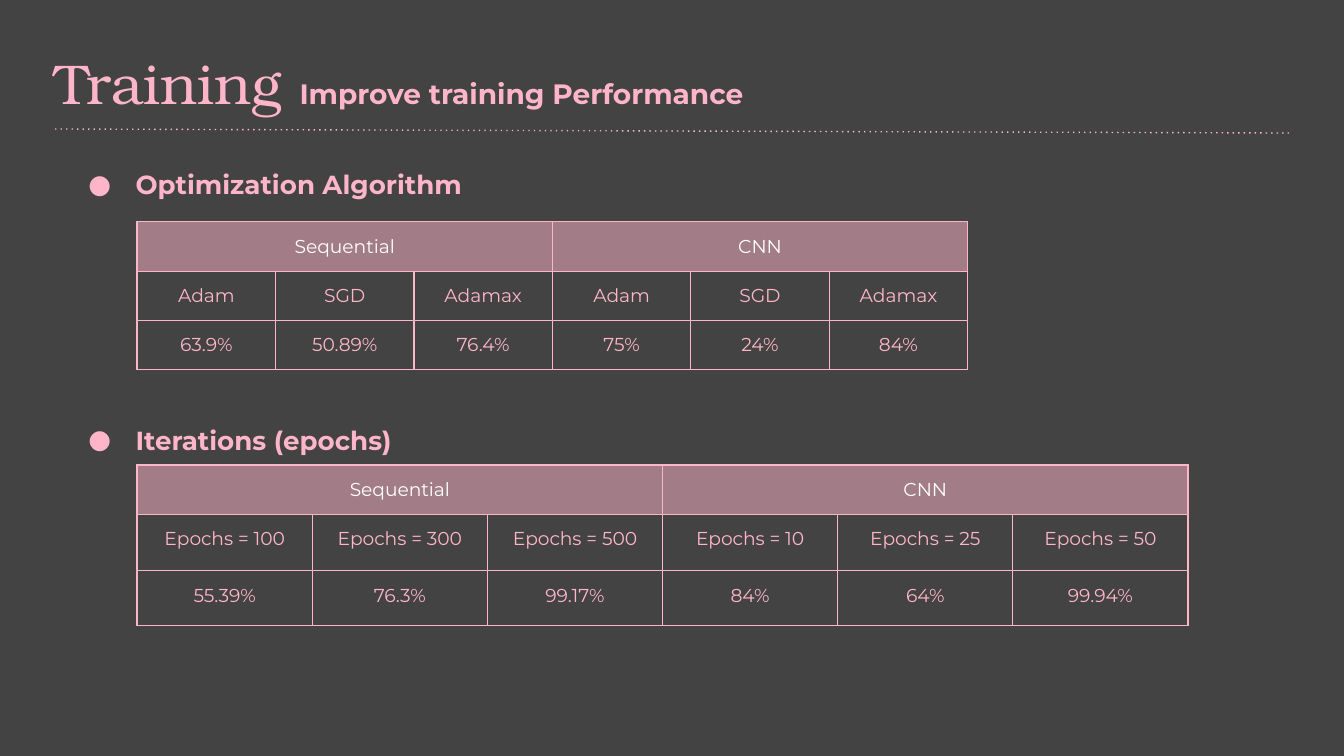
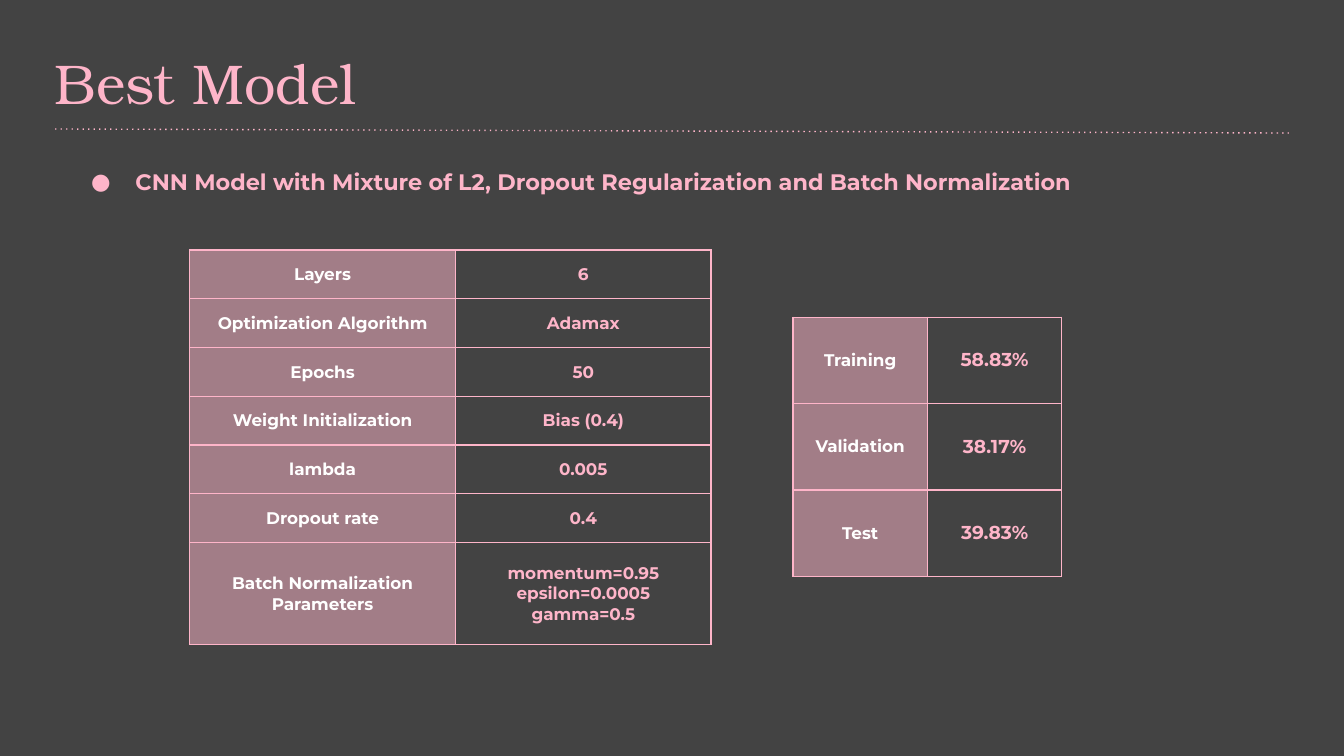
from lxml.etree import SubElement
from pptx import Presentation
from pptx.dml.color import RGBColor
from pptx.enum.shapes import MSO_CONNECTOR
from pptx.enum.text import MSO_ANCHOR, MSO_AUTO_SIZE, PP_ALIGN
from pptx.oxml.ns import qn
from pptx.util import Inches, Pt

PINK = RGBColor(0xFE, 0xB5, 0xC9)
WHITE = RGBColor(0xFF, 0xFF, 0xFF)
CHARCOAL = RGBColor(0x43, 0x43, 0x43)
TITLE_FONT = "TeX Gyre Bonum"
BODY_FONT = "Montserrat"
HEADER_OPACITY = 51
BORDER_WIDTH = Pt(0.75)


def write(para, text, size, color=PINK, font=BODY_FONT, bold=False):
    """Add one formatted span to a paragraph."""
    span = para.add_run()
    span.text = text
    span.font.size = Pt(size)
    span.font.name = font
    span.font.bold = bold
    span.font.color.rgb = color


class Deck:
    """Holds the shared style and the current slide."""

    def __init__(self):
        self.deck = Presentation()
        self.deck.slide_width = Inches(10)
        self.deck.slide_height = Inches(10 * 9 / 16)
        self.page = None

    def add_page(self, title, subtitle=None, width=8.48, height=0.71):
        self.page = self.deck.slides.add_slide(self.deck.slide_layouts[6])
        self.page.background.fill.solid()
        self.page.background.fill.fore_color.rgb = CHARCOAL
        para = self.add_box(0.31, 0.26, width, height)
        write(para, title, 30, font=TITLE_FONT)
        if subtitle:
            write(para, subtitle, 15, bold=True)
        self.add_rule()

    def add_box(self, left, top, width, height):
        """Add a text box and return its first paragraph."""
        box = self.page.shapes.add_textbox(
            Inches(left), Inches(top), Inches(width), Inches(height))
        frame = box.text_frame
        frame.word_wrap = True
        frame.auto_size = MSO_AUTO_SIZE.SHAPE_TO_FIT_TEXT
        frame.margin_left = frame.margin_right = Inches(0.1)
        frame.margin_top = frame.margin_bottom = Inches(0.1)
        return frame.paragraphs[0]

    def add_rule(self):
        """Dotted line under the title."""
        rule = self.page.shapes.add_connector(
            MSO_CONNECTOR.STRAIGHT,
            Inches(0.41), Inches(0.96), Inches(9.59), Inches(0.99))
        rule.line.color.rgb = PINK
        rule.line.width = BORDER_WIDTH
        props = rule._element.spPr
        SubElement(props.find(qn("a:ln")), qn("a:prstDash"), val="dot")
        SubElement(props, qn("a:effectLst"))

    def add_bullet(self, text, top, width, height, size=14, hanging=0.35):
        para = self.add_box(0.41, top, width, height)
        props = para._p.get_or_add_pPr()
        props.set("marL", str(Inches(0.5)))
        props.set("indent", str(-Inches(hanging)))
        bullet_color = SubElement(props, qn("a:buClr"))
        SubElement(bullet_color, qn("a:srgbClr"), val=str(PINK))
        SubElement(props, qn("a:buSzPts"), val=str(size * 100))
        SubElement(props, qn("a:buFont"), typeface=BODY_FONT)
        SubElement(props, qn("a:buChar"), char="●")
        para.line_spacing = 1.15
        write(para, text, size, bold=True)

    def add_grid(self, left, top, columns, heights):
        """Add an empty table with the given column widths and row heights."""
        table = self.page.shapes.add_table(
            len(heights), len(columns), Inches(left), Inches(top),
            Inches(sum(columns)), Inches(sum(heights))).table
        table.first_row = table.horz_banding = False
        for column, width in zip(table.columns, columns):
            column.width = Inches(width)
        for row, height in zip(table.rows, heights):
            row.height = Inches(height)
        return table

    def fill_cell(self, cell, text, header, size, margin, bold=False,
                  anchor=MSO_ANCHOR.TOP):
        cell.margin_left = cell.margin_right = Inches(margin)
        cell.margin_top = cell.margin_bottom = Inches(margin)
        cell.vertical_anchor = anchor
        props = cell._tc.get_or_add_tcPr()
        # Borders
        for side in ("lnL", "lnR", "lnT", "lnB"):
            border = SubElement(props, qn(f"a:{side}"), w=str(BORDER_WIDTH))
            paint = SubElement(border, qn("a:solidFill"))
            SubElement(paint, qn("a:srgbClr"), val=str(PINK))
        # Fill
        if header:
            cell.fill.solid()
            cell.fill.fore_color.rgb = PINK
            tint = props.find(qn("a:solidFill")).find(qn("a:srgbClr"))
            SubElement(tint, qn("a:alpha"), val=str(HEADER_OPACITY * 1000))
        else:
            cell.fill.background()
        # Text
        frame = cell.text_frame
        for index, line in enumerate(text.split("\n") if text else []):
            para = frame.add_paragraph() if index else frame.paragraphs[0]
            para.alignment = PP_ALIGN.CENTER
            write(para, line, size, WHITE if header else PINK, bold=bold)

    def add_comparison(self, top, width, heights, labels, values):
        """Table with one merged header over each group of three columns."""
        groups = ["Sequential", "", "", "CNN", "", ""]
        count = len(groups)
        table = self.add_grid(1.02, top, [width / count] * count, heights)
        for r, texts in enumerate([groups, labels, values]):
            for c, text in enumerate(texts):
                self.fill_cell(table.cell(r, c), text, r == 0, 10, 0.1)
        for first in (0, 3):
            table.cell(0, first).merge(table.cell(0, first + 2))

    def add_properties(self, left, top, columns, heights, rows, value_size=9):
        """Two-column table with a tinted label column."""
        table = self.add_grid(left, top, columns, heights)
        for r, texts in enumerate(rows):
            for c, text in enumerate(texts):
                self.fill_cell(table.cell(r, c), text, c == 0,
                               value_size if c else 9, 0.07, bold=True,
                               anchor=MSO_ANCHOR.MIDDLE)


def main():
    slides = Deck()

    # Training performance
    slides.add_page("Training ", "Improve training Performance", 6.76, 1.21)
    slides.add_comparison(
        3.46, 7.82, [0.11, 0.42, 0.41],
        [f"Epochs = {count}" for count in (100, 300, 500, 10, 25, 50)],
        ["55.39%", "76.3%", "99.17%", "84%", "64%", "99.94%"])
    slides.add_bullet("Optimization Algorithm", 1.12, 7.25, 0.44)
    slides.add_bullet("Iterations (epochs)", 3.02, 3.28, 0.44)
    slides.add_comparison(
        1.65, 6.18, [0.32] * 3,
        ["Adam", "SGD", "Adamax"] * 2,
        ["63.9%", "50.89%", "76.4%", "75%", "24%", "84%"])

    # Best model
    slides.add_page("Best Model")
    slides.add_bullet(
        "CNN Model with Mixture of L2, Dropout Regularization and "
        "Batch Normalization", 1.12, 8.2, 0.4, size=12, hanging=0.33)
    slides.add_properties(1.41, 1.86, [1.98, 1.9], [2.18 / 6] * 6 + [0.76], [
        ("Layers", "6"),
        ("Optimization Algorithm", "Adamax"),
        ("Epochs", "50"),
        ("Weight Initialization", "Bias (0.4)"),
        ("lambda", "0.005"),
        ("Dropout rate", "0.4"),
        ("Batch Normalization\nParameters",
         "momentum=0.95\nepsilon=0.0005\ngamma=0.5"),
    ])
    slides.add_properties(5.9, 2.36, [1, 1], [1.93 / 3] * 3, [
        ("Training", "58.83%"),
        ("Validation", "38.17%"),
        ("Test", "39.83%"),
    ], value_size=10)

    slides.deck.save("out.pptx")


if __name__ == "__main__":
    main()
